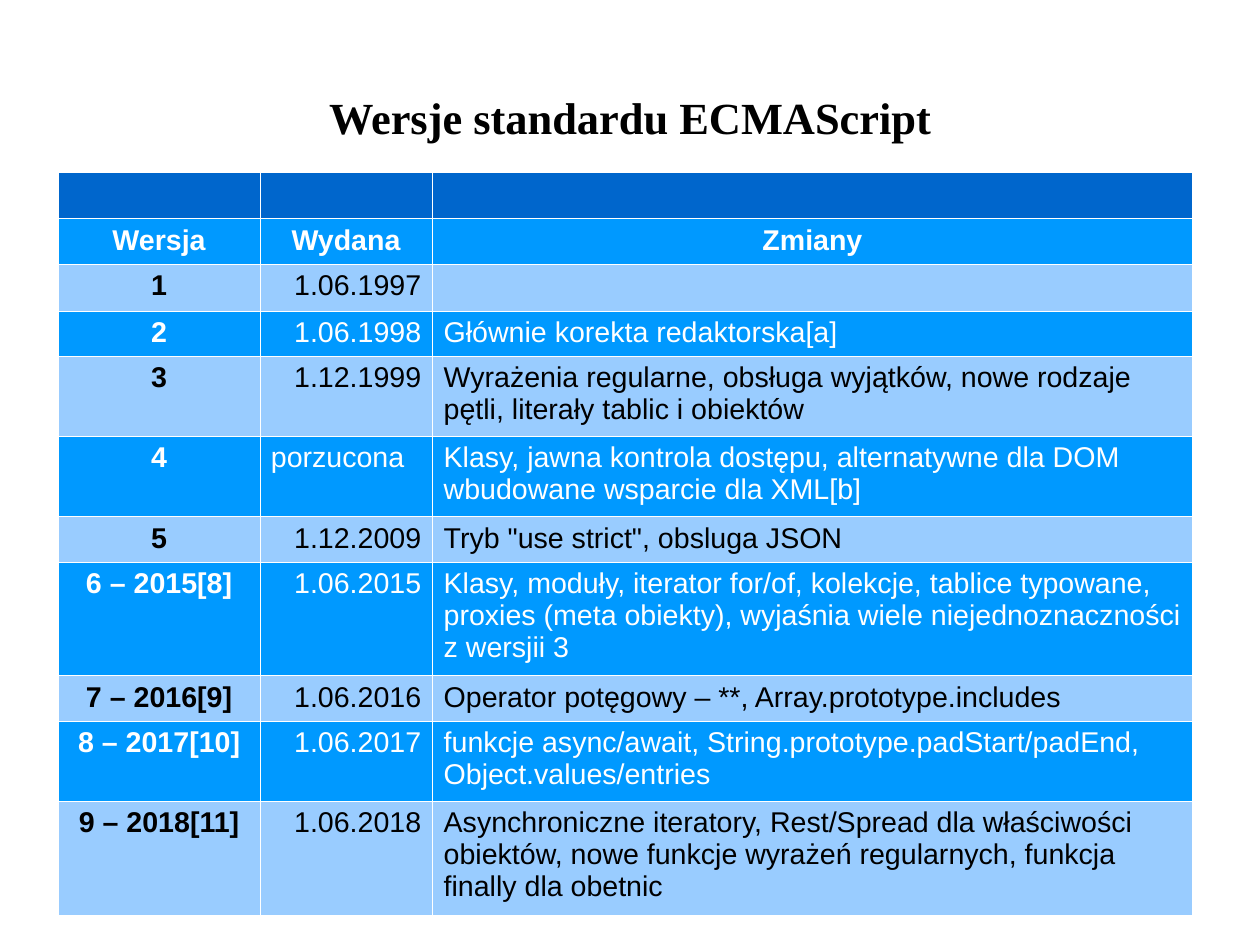
import lxml.etree
import pptx
import pptx.dml.color
import pptx.enum.text
import pptx.oxml.ns
import pptx.util

Cm = pptx.util.Cm
Align = pptx.enum.text.PP_ALIGN

COLOURS = {
    "black": "000000",
    "white": "FFFFFF",
    "top": "0066CC",
    "dark": "0099FF",
    "light": "99CCFF",
}
COLUMN_WIDTHS = (4.47, 3.84, 16.89)
ROW_HEIGHTS = {1: 1.01, 2: 1.78, 3: 2.53}  # centimetres by number of text lines
TITLE_LAYOUT = 5

HEADINGS = ("Wersja", "Wydana", "Zmiany")
VERSIONS = [
    # version, release date, changes, lines of text
    ("1", "1.06.1997", "", 1),
    ("2", "1.06.1998", "Głównie korekta redaktorska[a]", 1),
    ("3", "1.12.1999", "Wyrażenia regularne, obsługa wyjątków, nowe rodzaje "
     "pętli, literały tablic i obiektów", 2),
    ("4", "porzucona", "Klasy, jawna kontrola dostępu, alternatywne "
     "dla DOM wbudowane wsparcie dla XML[b]", 2),
    ("5", "1.12.2009", 'Tryb "use strict", obsluga JSON', 1),
    ("6 – 2015[8]", "1.06.2015", "Klasy, moduły, iterator for/of, kolekcje, "
     "tablice typowane, proxies (meta obiekty), wyjaśnia wiele "
     "niejednoznaczności z wersjii 3", 3),
    ("7 – 2016[9]", "1.06.2016",
     "Operator potęgowy – **, Array.prototype.includes", 1),
    ("8 – 2017[10]", "1.06.2017", "funkcje async/await, "
     "String.prototype.padStart/padEnd, Object.values/entries", 2),
    ("9 – 2018[11]", "1.06.2018", "Asynchroniczne iteratory, Rest/Spread dla "
     "właściwości obiektów, nowe funkcje wyrażeń regularnych, funkcja "
     "finally dla obetnic", 3),
]


def set_values(target, values):
    for name, value in values.items():
        setattr(target, name, value)


def colour(name):
    return pptx.dml.color.RGBColor.from_string(COLOURS[name])


class SlideBuilder:
    """Holds the text styles and the slide being filled."""

    title_font = {"name": "Times New Roman", "size": pptx.util.Pt(28), "bold": True}
    cell_font = {"name": "Arial", "size": pptx.util.Pt(18)}
    cell_margins = {
        "margin_left": Cm(0.25), "margin_right": Cm(0.25),
        "margin_top": Cm(0.13), "margin_bottom": Cm(0.13),
    }
    border_width = pptx.util.Pt(0.06)

    def __init__(self, deck):
        self.slide = deck.slides.add_slide(deck.slide_layouts[TITLE_LAYOUT])

    def add_text(self, frame, text, align, ink, font):
        para = frame.paragraphs[0]
        para.alignment = align
        span = para.add_run()
        span.text = text
        set_values(span.font, font)
        span.font.color.rgb = colour(ink)

    def title(self, text, left, top, width, height):
        box = self.slide.shapes.title
        set_values(box, {"left": Cm(left), "top": Cm(top),
                         "width": Cm(width), "height": Cm(height)})
        set_values(box.text_frame, {
            "margin_left": 0, "margin_right": 0, "margin_top": 0, "margin_bottom": 0,
            "word_wrap": True,
            "auto_size": pptx.enum.text.MSO_AUTO_SIZE.NONE,
            "vertical_anchor": pptx.enum.text.MSO_ANCHOR.MIDDLE,
        })
        self.add_text(box.text_frame, text, Align.CENTER, "black", self.title_font)

    def table(self, left, top, widths, heights):
        frame = self.slide.shapes.add_table(
            len(heights), len(widths), Cm(left), Cm(top),
            Cm(sum(widths)), Cm(sum(heights)))
        for column, width in zip(frame.table.columns, widths):
            column.width = Cm(width)
        for row, height in zip(frame.table.rows, heights):
            row.height = Cm(height)
        return frame.table

    def cell(self, cell, text, fill, ink, align, bold):
        set_values(cell, self.cell_margins)
        cell.fill.solid()
        cell.fill.fore_color.rgb = colour(fill)
        self.borders(cell)
        if text:
            self.add_text(cell.text_frame, text, align, ink,
                          {**self.cell_font, "bold": bold})

    def borders(self, cell):
        """Put white lines on all four sides, ahead of the fill."""
        qn = pptx.oxml.ns.qn
        properties = cell._tc.get_or_add_tcPr()
        for place, side in enumerate(("a:lnL", "a:lnR", "a:lnT", "a:lnB")):
            line = lxml.etree.Element(qn(side), w=str(int(self.border_width)))
            solid = lxml.etree.SubElement(line, qn("a:solidFill"))
            lxml.etree.SubElement(solid, qn("a:srgbClr"), val=COLOURS["white"])
            properties.insert(place, line)


def main():
    deck = pptx.Presentation()
    set_values(deck, {"slide_width": Cm(28), "slide_height": Cm(21)})
    builder = SlideBuilder(deck)
    builder.title("Wersje standardu ECMAScript", 1.4, 0.84, 25.2, 3.5)

    rows = [("", "", "", 1), (*HEADINGS, 1), *VERSIONS]
    heights = [ROW_HEIGHTS[lines] for *_, lines in rows]
    table = builder.table(1.3, 3.82, COLUMN_WIDTHS, heights)

    for r, (*texts, _) in enumerate(rows):
        is_heading = r == 1
        fill = "top" if r == 0 else "dark" if r % 2 else "light"
        ink = "black" if fill == "light" else "white"
        date_align = Align.RIGHT if texts[1][:1].isdigit() else Align.LEFT
        aligns = (Align.CENTER, date_align, Align.LEFT)
        for c, text in enumerate(texts):
            align = Align.CENTER if is_heading else aligns[c]
            builder.cell(table.cell(r, c), text, fill, ink, align,
                         bold=is_heading or c == 0)

    deck.save("out.pptx")


if __name__ == "__main__":
    main()
